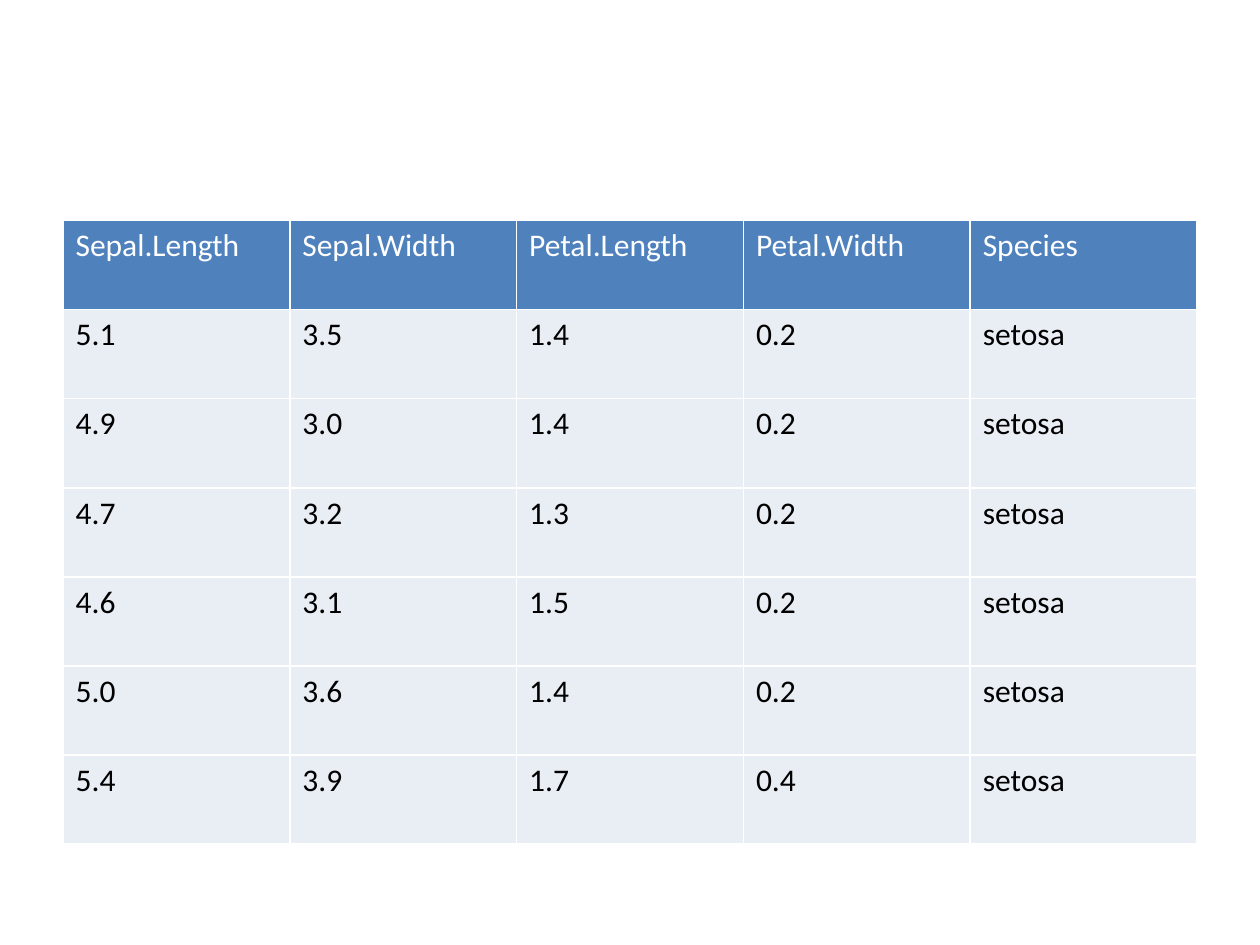
from dataclasses import dataclass

from lxml import etree
from pptx import Presentation
from pptx.dml.color import RGBColor
from pptx.oxml.ns import qn
from pptx.util import Inches, Pt


@dataclass(frozen=True)
class Theme:
    font: str = "Calibri"
    text_size: int = 18
    border_width: int = 1
    border: str = "FFFFFF"
    header_fill: str = "4F81BD"
    header_text: str = "FFFFFF"
    body_fill: str = "E9EDF4"
    body_text: str = "000000"


theme = Theme()

iris_rows = [
    ("Sepal.Length", "Sepal.Width", "Petal.Length", "Petal.Width", "Species"),
    ("5.1", "3.5", "1.4", "0.2", "setosa"),
    ("4.9", "3.0", "1.4", "0.2", "setosa"),
    ("4.7", "3.2", "1.3", "0.2", "setosa"),
    ("4.6", "3.1", "1.5", "0.2", "setosa"),
    ("5.0", "3.6", "1.4", "0.2", "setosa"),
    ("5.4", "3.9", "1.7", "0.4", "setosa"),
]


def add_borders(cell):
    properties = cell._tc.get_or_add_tcPr()
    for side in ("a:lnL", "a:lnR", "a:lnT", "a:lnB"):
        line = etree.SubElement(properties, qn(side), w=str(Pt(theme.border_width)))
        fill = etree.SubElement(line, qn("a:solidFill"))
        etree.SubElement(fill, qn("a:srgbClr"), val=theme.border)


# Slide
presentation = Presentation()
presentation.slide_width = Inches(10)
presentation.slide_height = Inches(7.5)
slide = presentation.slides.add_slide(presentation.slide_layouts[6])

# Table with equal rows and columns
table = slide.shapes.add_table(
    len(iris_rows), len(iris_rows[0]),
    Inches(0.5), Inches(1.75), Inches(9), Inches(4.95),
).table
table.horz_banding = False

# Cells: the first row is the header
for row_index, values in enumerate(iris_rows):
    is_header = row_index == 0
    fill_color = theme.header_fill if is_header else theme.body_fill
    text_color = theme.header_text if is_header else theme.body_text
    for column_index, value in enumerate(values):
        cell = table.cell(row_index, column_index)
        add_borders(cell)
        cell.fill.solid()
        cell.fill.fore_color.rgb = RGBColor.from_string(fill_color)
        cell.text_frame.text = value
        font = cell.text_frame.paragraphs[0].runs[0].font
        font.name = theme.font
        font.size = Pt(theme.text_size)
        font.bold = False
        font.color.rgb = RGBColor.from_string(text_color)

presentation.save("out.pptx")
